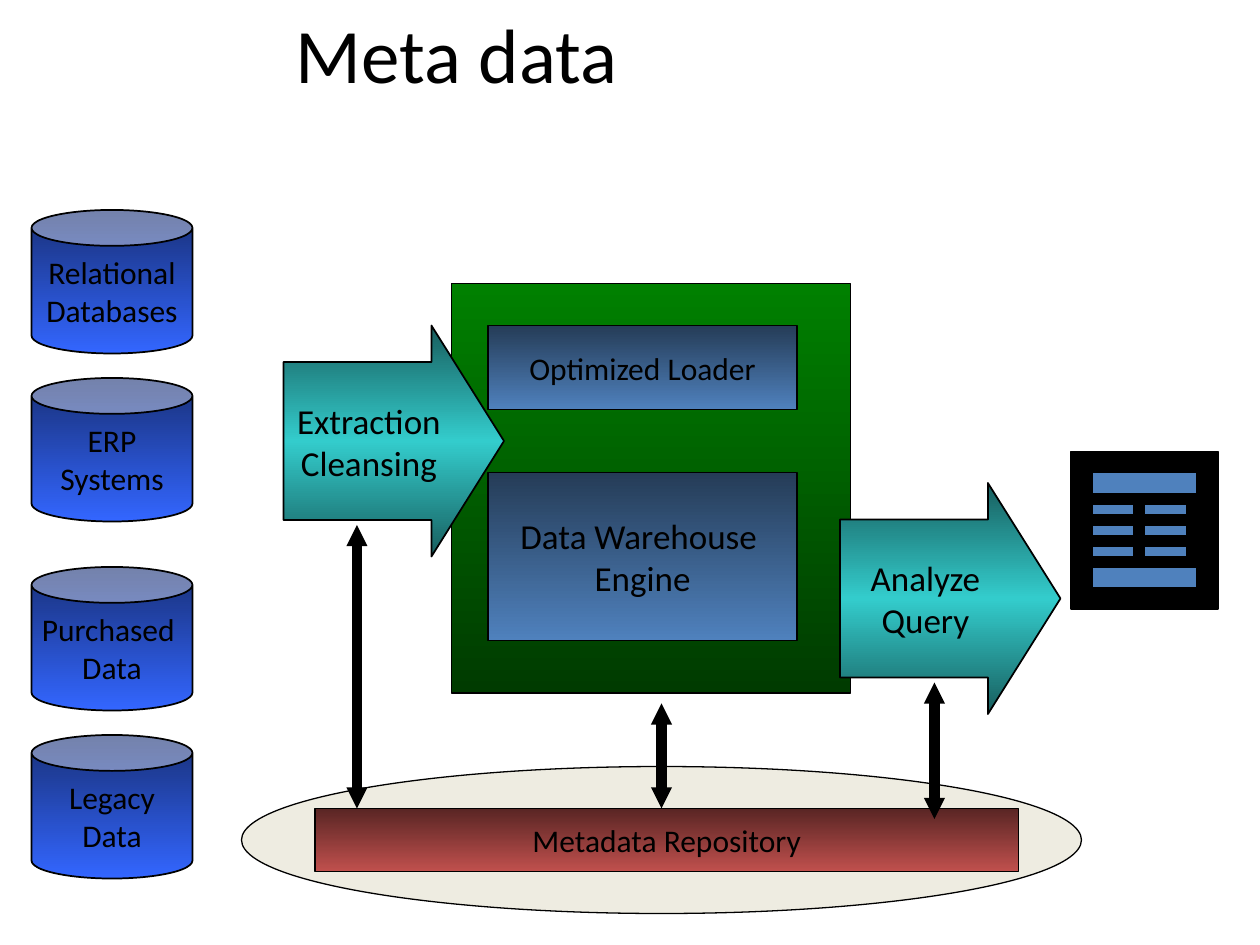
"""Build the metadata architecture slide on a grid of twelfths of an inch."""
from copy import deepcopy

from lxml import etree
from pptx import Presentation
from pptx import util as u
from pptx.dml.color import RGBColor
from pptx.enum import shapes, text
from pptx.oxml.ns import qn

KIND = shapes.MSO_SHAPE
CELL = u.Inches(1) / 12
BLACK = "000000"
BLUE, RED = ["253C57", "4F81BD"], ["592524", "C0504D"]
GREEN, DISK = ["008000", "003B00"], ["182F76", "3366FF"]
TEAL = ["185E5E", "33CCCC", "185E5E"]
ARROW_ADJUST = [0.684, 0.329]

TITLE = ("Meta data", (27, 0, 108, 15))
ELLIPSE = (23, 73, 80, 14)
WAREHOUSE = (43, 27, 38, 39)
ENGINES = [("Data Warehouse \vEngine", 45, 16, 20), ("Optimized Loader", 31, 8, 18)]
FLOWS = [("Extraction\vCleansing", 27, 31), ("Analyze\vQuery", 80, 46)]
REPOSITORY = ("Metadata Repository", (30, 77, 67, 6))
LINKS = [(34, 50, 77), (63, 67, 77), (89, 65, 78)]
SOURCES = [("Relational\vDatabases", 20), ("ERP\nSystems", 36),
           ("Purchased \vData", 54), ("Legacy\vData", 70)]
REPORT = (102, 43, 14, 15)
REPORT_BARS = [(104, row, 10, 2) for row in (45, 54)]
REPORT_CELLS = [(column, row, 4, 1) for column in (104, 109) for row in (48, 50, 52)]


def place(cells):
    """Turn grid cells into slide lengths."""
    return [round(value * CELL) for value in cells]


def color(value):
    """Read a hex colour."""
    return RGBColor.from_string(value)


def paint(shape, colors):
    """Fill with one colour or an even top-to-bottom gradient."""
    if len(colors) == 1:
        shape.fill.solid()
        shape.fill.fore_color.rgb = color(colors[0])
        return
    shape.fill.gradient()
    shape.fill.gradient_angle = 270
    stops = shape._element.spPr.find(".//" + qn("a:gsLst"))
    while len(stops) < len(colors):
        stops.append(deepcopy(stops[-1]))
    for index, (stop, value) in enumerate(zip(shape.fill.gradient_stops, colors)):
        stop.color.rgb = color(value)
        stop.position = index / (len(colors) - 1)


def write(box, words, size=18, align=text.PP_ALIGN.CENTER,
          anchor=text.MSO_ANCHOR.MIDDLE, wrap=False):
    """Put formatted words in a box."""
    frame = box.text_frame
    frame.text = words
    frame.word_wrap = wrap
    frame.vertical_anchor = anchor
    for para in frame.paragraphs:
        para.alignment = align
        for span in para.runs:
            span.font.name = "Calibri"
            span.font.size = u.Pt(size)
            span.font.color.rgb = color(BLACK)


def draw(page, cells, *colors, kind=KIND.RECTANGLE, words="", size=18, adjust=(), line=1):
    """Add an outlined shape with an optional label."""
    shape = page.shapes.add_shape(kind, *place(cells))
    shape.shadow.inherit = False
    for index, value in enumerate(adjust):
        shape.adjustments[index] = value
    paint(shape, colors)
    shape.line.color.rgb = color(BLACK)
    shape.line.width = u.Pt(line)
    if words:
        write(shape, words, size)


def link(page, column, top, bottom):
    """Add a thick vertical double-headed arrow."""
    ends = place((column, top, column, bottom))
    line = page.shapes.add_connector(shapes.MSO_CONNECTOR.STRAIGHT, *ends)
    line.line.color.rgb = color(BLACK)
    line.line.width = u.Pt(6)
    for end in ("headEnd", "tailEnd"):
        etree.SubElement(line.line._get_or_add_ln(), qn("a:" + end),
                         type="triangle", w="sm", len="sm")
    etree.SubElement(line._element.spPr, qn("a:effectLst"))


def flow(page, words, left, top):
    """Add a labelled block arrow."""
    draw(page, (left, top, 21, 22), *TEAL, kind=KIND.RIGHT_ARROW,
         words=words, size=20, adjust=ARROW_ADJUST)


def main():
    """Compose and save the slide."""
    deck = Presentation()
    deck.slide_width, deck.slide_height = u.Inches(10), u.Inches(7.5)
    page = deck.slides.add_slide(deck.slide_layouts[6])

    draw(page, ELLIPSE, "EEECE1", kind=KIND.OVAL, line=0.75)
    words, cells = TITLE
    write(page.shapes.add_textbox(*place(cells)), words, size=44,
          align=text.PP_ALIGN.LEFT, anchor=text.MSO_ANCHOR.TOP, wrap=True)

    draw(page, WAREHOUSE, *GREEN)
    for words, top, height, size in ENGINES:
        draw(page, (46.5, top, 29.4, height), *BLUE, words=words, size=size)
    flow(page, *FLOWS[0])

    draw(page, REPORT, BLACK)
    for cells in REPORT_BARS + REPORT_CELLS:
        draw(page, cells, BLUE[-1])
    flow(page, *FLOWS[1])

    words, cells = REPOSITORY
    draw(page, cells, *RED, words=words)
    for ends in LINKS:
        link(page, *ends)
    for words, top in SOURCES:
        draw(page, (3, top, 15.33, 13.67), *DISK, kind=KIND.CAN, words=words, adjust=[0.25])

    deck.save("out.pptx")


if __name__ == "__main__":
    main()
